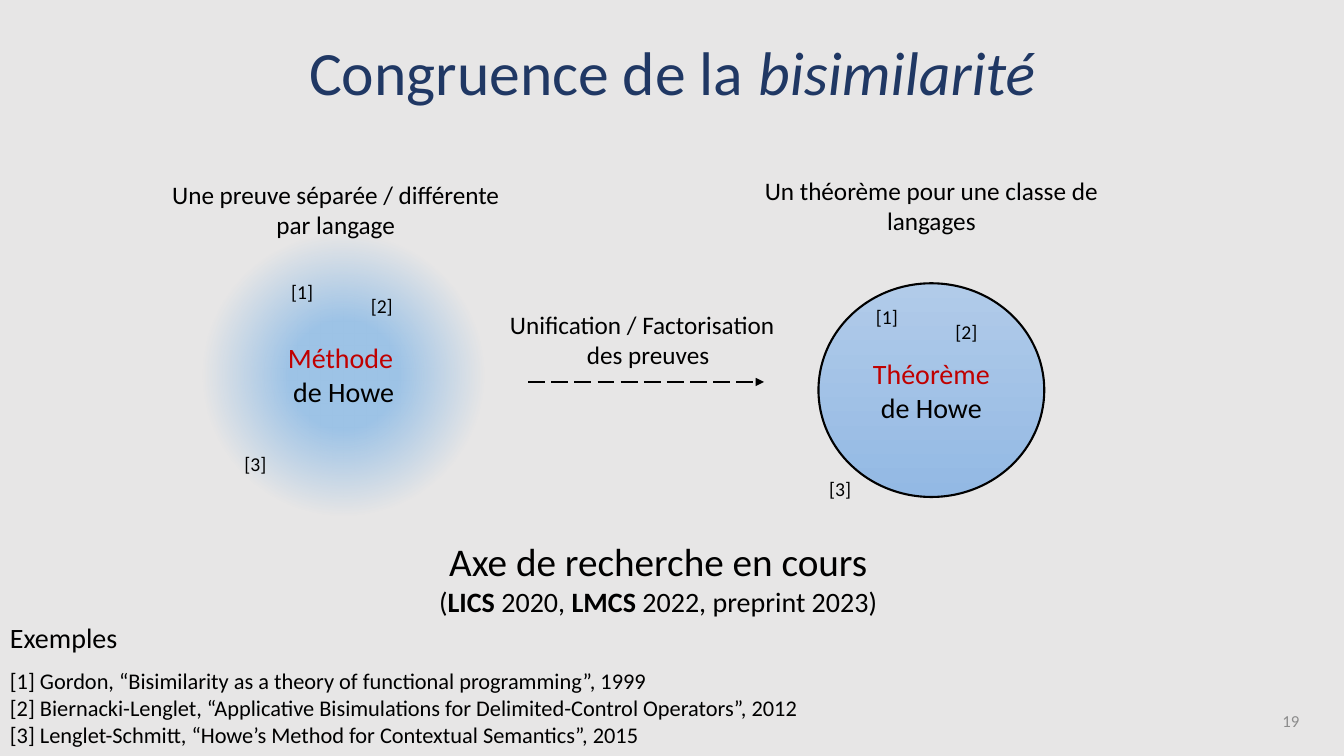
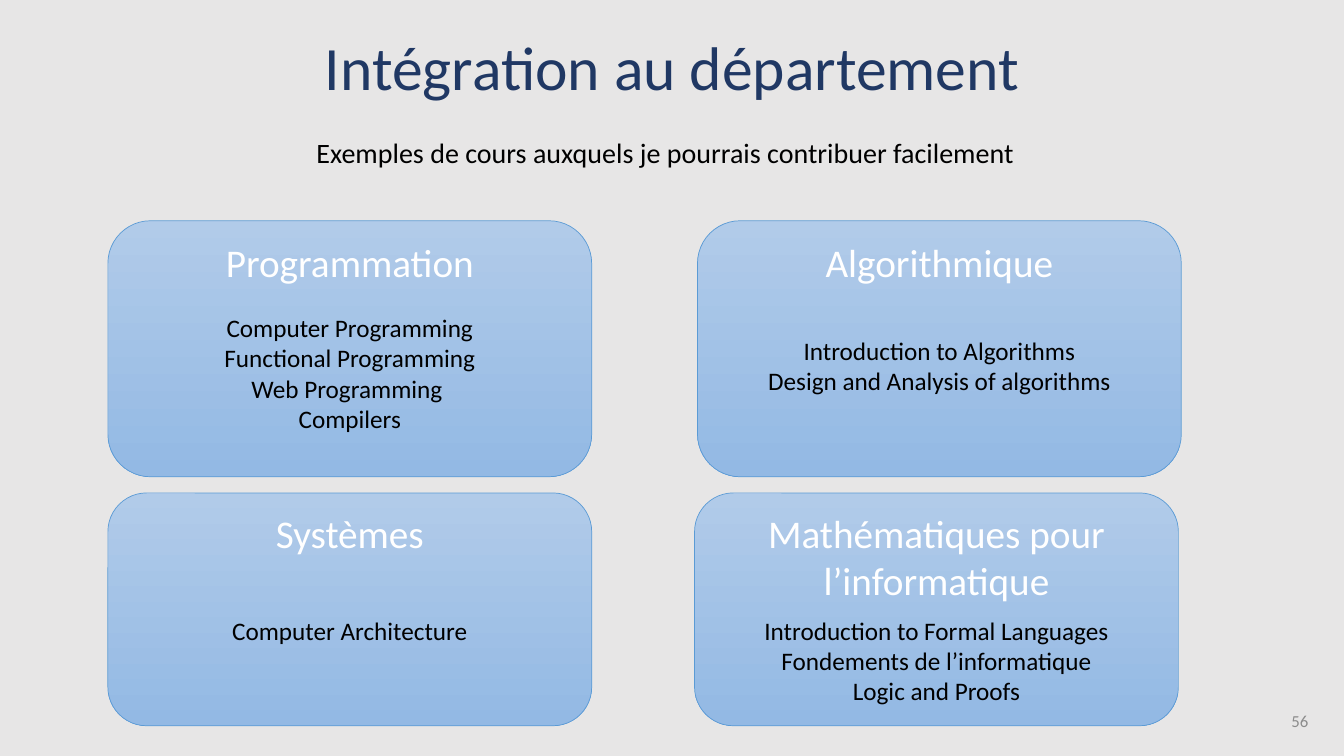
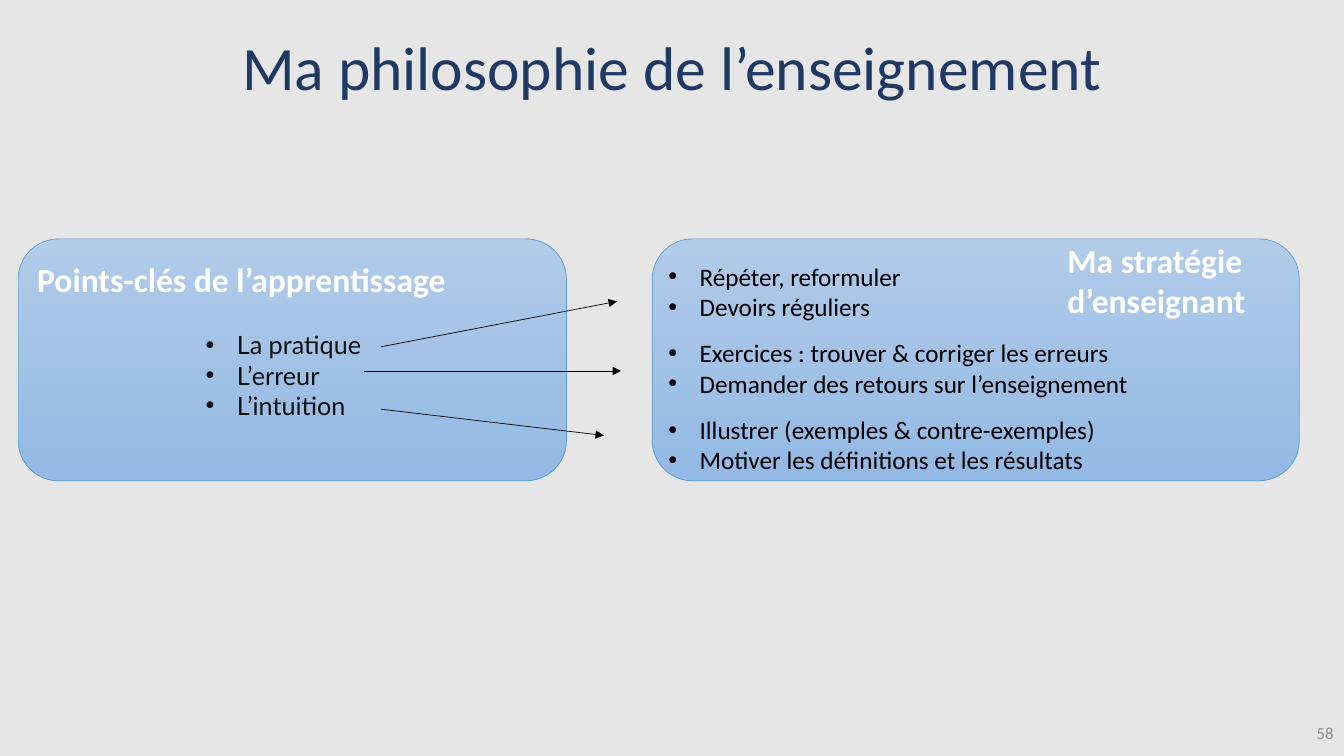
from pptx import Presentation
from pptx.dml.color import RGBColor
from pptx.enum.dml import MSO_LINE
from pptx.enum.shapes import MSO_CONNECTOR, MSO_SHAPE
from pptx.enum.text import MSO_ANCHOR, MSO_AUTO_SIZE, PP_ALIGN
from pptx.oxml import parse_xml
from pptx.oxml.ns import nsdecls, qn
from pptx.util import Inches, Pt

LEFT, CENTER, RIGHT = PP_ALIGN.LEFT, PP_ALIGN.CENTER, PP_ALIGN.RIGHT
TOP, MIDDLE = MSO_ANCHOR.TOP, MSO_ANCHOR.MIDDLE
NO_AUTOFIT = MSO_AUTO_SIZE.NONE
OVAL, ROUNDED = MSO_SHAPE.OVAL, MSO_SHAPE.ROUNDED_RECTANGLE
STRAIGHT = MSO_CONNECTOR.STRAIGHT
LONG_DASH = MSO_LINE.LONG_DASH

COLORS = {
    "background": "E7E6E6",
    "title": "203864",
    "text": "000000",
    "list": "0F1111",
    "accent": "C00000",
    "number": "8C8C8C",
    "white": "FFFFFF",
    "card_top": "B1CBE9",
    "card_bottom": "93B9E4",
    "card_line": "5B9BD5",
    "halo": "9DC3E6",
}
TITLE_ONLY, TITLE_AND_BODY = 5, 1
BULLET_INDENT = Inches(0.31)


def rgb(name):
    return RGBColor.from_string(COLORS[name])


class SlideBuilder:
    """Draws on the current slide; lengths are percent of its width and height."""

    def __init__(self):
        self.deck = Presentation()
        self.deck.slide_width = Inches(13.333)
        self.deck.slide_height = Inches(7.5)
        fill = self.deck.slide_master.background.fill
        fill.solid()
        fill.fore_color.rgb = rgb("background")
        self.page = None

    def across(self, share):
        return round(self.deck.slide_width * share / 100)

    def down(self, share):
        return round(self.deck.slide_height * share / 100)

    def area(self, left, top, width, height):
        return self.across(left), self.down(top), self.across(width), self.down(height)

    def start(self, title, number, layout=TITLE_ONLY, title_top=-0.27, number_at=(75.6, 92.67)):
        self.page = self.deck.slides.add_slide(self.deck.slide_layouts[layout])
        box = self.page.shapes.title
        self.move(box, 6.9, title_top, 86.25, 19.33)
        self.set_text(box, [title], CENTER, MIDDLE, size=44, color="title")
        box.text_frame.paragraphs[0].line_spacing = 0.9
        self.text((*number_at, 22.5, 5.33), [str(number)], RIGHT, MIDDLE, size=12, color="number")

    def move(self, box, *place):
        for name, length in zip(("left", "top", "width", "height"), self.area(*place)):
            setattr(box, name, length)

    def set_text(self, box, paragraphs, align=LEFT, anchor=TOP, **style):
        """Each paragraph is a string or a list of (text, style changes) spans."""
        frame = box.text_frame
        for name, value in {"word_wrap": True, "auto_size": NO_AUTOFIT,
                            "vertical_anchor": anchor}.items():
            setattr(frame, name, value)
        for index, spans in enumerate(paragraphs):
            para = frame.add_paragraph() if index else frame.paragraphs[0]
            para.alignment = align
            for text, changes in [(spans, {})] if isinstance(spans, str) else spans:
                span = para.add_run()
                span.text = text
                self.style_font(span.font, **{**style, **changes})
        return frame

    def style_font(self, font, size=18, color="text", name="Calibri", **flags):
        values = {"name": name, "size": Pt(size), **flags}
        for key, value in values.items():
            setattr(font, key, value)
        font.color.rgb = rgb(color)

    def text(self, place, paragraphs, align=LEFT, anchor=TOP, **style):
        box = self.page.shapes.add_textbox(*self.area(*place))
        return self.set_text(box, paragraphs, align, anchor, **style)

    def add_bullets(self, frame):
        for para in frame.paragraphs:
            para.space_before = Pt(0)
            properties = para._p.get_or_add_pPr()
            properties.set("marL", str(BULLET_INDENT))
            properties.set("indent", str(-BULLET_INDENT))
            for tag, value in (("buFont", 'typeface="Arial"'), ("buChar", 'char="•"')):
                properties.append(parse_xml(f"<a:{tag} {nsdecls('a')} {value}/>"))

    def bullets(self, place, items):
        self.add_bullets(self.text(place, items))

    def body_bullets(self, place, items, **style):
        box = self.page.placeholders[1]
        self.move(box, *place)
        self.add_bullets(self.set_text(box, items, **style))

    def panel(self, kind, place, line="card_line", width=0.5):
        box = self.page.shapes.add_shape(kind, *self.area(*place))
        box.shadow.inherit = False
        box.fill.gradient()
        box.fill.gradient_angle = 270
        for stop, name in zip(box.fill.gradient_stops, ("card_top", "card_bottom")):
            stop.color.rgb = rgb(name)
        box.line.color.rgb = rgb(line)
        box.line.width = Pt(width)
        return box

    def halo(self, place):
        """An ellipse that fades out from its centre."""
        box = self.panel(OVAL, place)
        box.line.fill.background()
        stops = "".join(
            f'<a:gs pos="{pos}000"><a:srgbClr val="{COLORS["halo"]}">'
            f'<a:alpha val="{alpha}000"/></a:srgbClr></a:gs>'
            for pos, alpha in ((0, 100), (22, 100), (58, 0)))
        fade = parse_xml(
            f'<a:gradFill {nsdecls("a")} rotWithShape="1"><a:gsLst>{stops}</a:gsLst>'
            '<a:path path="circle"><a:fillToRect l="50000" t="50000" r="50000" b="50000"/>'
            '</a:path></a:gradFill>')
        properties = box._element.spPr
        plain = properties.find(qn("a:gradFill"))
        plain.addprevious(fade)
        properties.remove(plain)
        return box

    def arrow(self, start, end, width=0.5, dash=None):
        x1, y1 = start
        x2, y2 = end
        arrow = self.page.shapes.add_connector(
            STRAIGHT, self.across(x1), self.down(y1), self.across(x2), self.down(y2))
        arrow.line.color.rgb = rgb("text")
        arrow.line.width = Pt(width)
        if dash:
            arrow.line.dash_style = dash
        properties = arrow._element.spPr
        properties.find(qn("a:ln")).append(
            parse_xml(f'<a:tailEnd {nsdecls("a")} type="triangle"/>'))
        properties.append(parse_xml(f'<a:effectLst {nsdecls("a")}/>'))


def congruence(build):
    build.start([("Congruence de la ", {}), ("bisimilarité", {"italic": True})], 19,
                title_top=0.27, number_at=(74.93, 92.67))
    accent = {"color": "accent"}
    build.set_text(build.halo((14.55, 24, 22.05, 51.07)), [[("Méthode ", accent)], "de Howe"],
                   CENTER, MIDDLE, size=20)
    build.arrow((39.3, 50.53), (56.85, 50.53), 1.5, LONG_DASH)
    theorem = build.panel(OVAL, (60.9, 37.47, 16.8, 28.27), "text", 1.5)
    build.set_text(theorem, [[("Théorème ", accent), ("de Howe", {})]], CENTER, MIDDLE, size=20)

    citations = {"[1]": (20.93, 36.4), "[2]": (26.85, 38.27), "[3]": (17.45, 59.07)}
    for shift_x, shift_y in ((0, 0), (43.5, 3.33)):
        for label, (left, top) in citations.items():
            build.text((left + shift_x, top + shift_y, 4, 4.53), [label], size=14)

    build.text((0, 87.6, 65, 12), [
        "[1] Gordon, “Bisimilarity as a theory of functional programming”, 1999",
        "[2] Biernacki-Lenglet, “Applicative Bisimulations for Delimited-Control Operators”, 2012",
        "[3] Lenglet-Schmitt, “Howe’s Method for Contextual Semantics”, 2015",
    ], size=16)
    small, strong = {"size": 20}, {"size": 20, "bold": True}
    build.text((29.63, 70.4, 38.7, 12.13), [
        "Axe de recherche en cours",
        [("(", small), ("LICS", strong), (" 2020, ", small), ("LMCS", strong),
         (" 2022, preprint 2023)", small)],
    ], CENTER, size=28)
    step = build.text((37.2, 40.27, 22.05, 9.47),
                      ["Unification / Factorisation", "des preuves"], CENTER)
    step.paragraphs[0].alignment = LEFT
    build.text((55.8, 22.53, 27, 9.47), ["Un théorème pour une classe de langages"], CENTER)
    build.text((11.48, 23.07, 27, 9.47), ["Une preuve séparée / différente par langage"], CENTER)
    build.text((0, 81.47, 17.5, 5.87), ["Exemples"], size=20)


def department(build):
    build.start("Intégration au département", 56)
    build.text((19.5, 17.33, 60, 5.87),
               ["Exemples de cours auxquels je pourrais contribuer facilement"], CENTER, size=20)
    upper, lower = (29.2, 33.87), (65.2, 30.8)
    cards = [
        ("Programmation", 8.03, upper, 40.67,
         ["Computer Programming", "Functional Programming", "Web Programming ", "Compilers"]),
        ("Systèmes", 8.03, lower, 80.67, ["Computer Architecture"]),
        ("Algorithmique", 51.9, upper, 43.73,
         ["Introduction to Algorithms", "Design and Analysis of algorithms"]),
        ("Mathématiques pour l’informatique", 51.68, lower, 80.67,
         ["Introduction to Formal Languages", "Fondements de l’informatique", "Logic and Proofs"]),
    ]
    for heading, left, (top, height), courses_top, courses in cards:
        card = build.panel(ROUNDED, (left, top, 36, height))
        build.set_text(card, [heading], CENTER, size=28, color="white")
        build.text((left, courses_top, 36, top + height - courses_top), courses, CENTER)


def philosophy(build):
    build.start("Ma philosophie de l’enseignement", 58, TITLE_AND_BODY, number_at=(77.48, 94.27))
    for left, width in ((1.35, 40.8), (48.53, 48.15)):
        build.panel(ROUNDED, (left, 31.6, width, 32))
    # The placeholder is older than the panels, so it is raised above them.
    tree = build.page.shapes._spTree
    tree.append(build.page.placeholders[1]._element)
    build.body_bullets((14.55, 42.93, 34.28, 13.47), ["La pratique", "L’erreur", "L’intuition"],
                       name="Lato", color="list")
    strategies = [
        ["Répéter, reformuler", "Devoirs réguliers"],
        ["Exercices : trouver & corriger les erreurs", "Demander des retours sur l’enseignement"],
        ["Illustrer (exemples & contre-exemples)", "Motiver les définitions et les résultats"],
    ]
    for row, items in enumerate(strategies):
        build.bullets((49, 33.87 + 10.13 * row, 48, 9.47), items)
    for start, end in (((28.35, 45.87), (45.9, 39.87)), ((27.08, 49.07), (46.2, 49.07)),
                       ((28.35, 54.13), (44.93, 57.6))):
        build.arrow(start, end)
    for place, heading in (((78.68, 31.07, 16.5, 12.13), "Ma stratégie d’enseignant"),
                           ((2.03, 33.6, 36.15, 6.67), "Points-clés de l’apprentissage")):
        build.text(place, [heading], size=24, color="white", bold=True)


def main():
    build = SlideBuilder()
    for draw in (congruence, department, philosophy):
        draw(build)
    build.deck.save("out.pptx")


if __name__ == "__main__":
    main()
